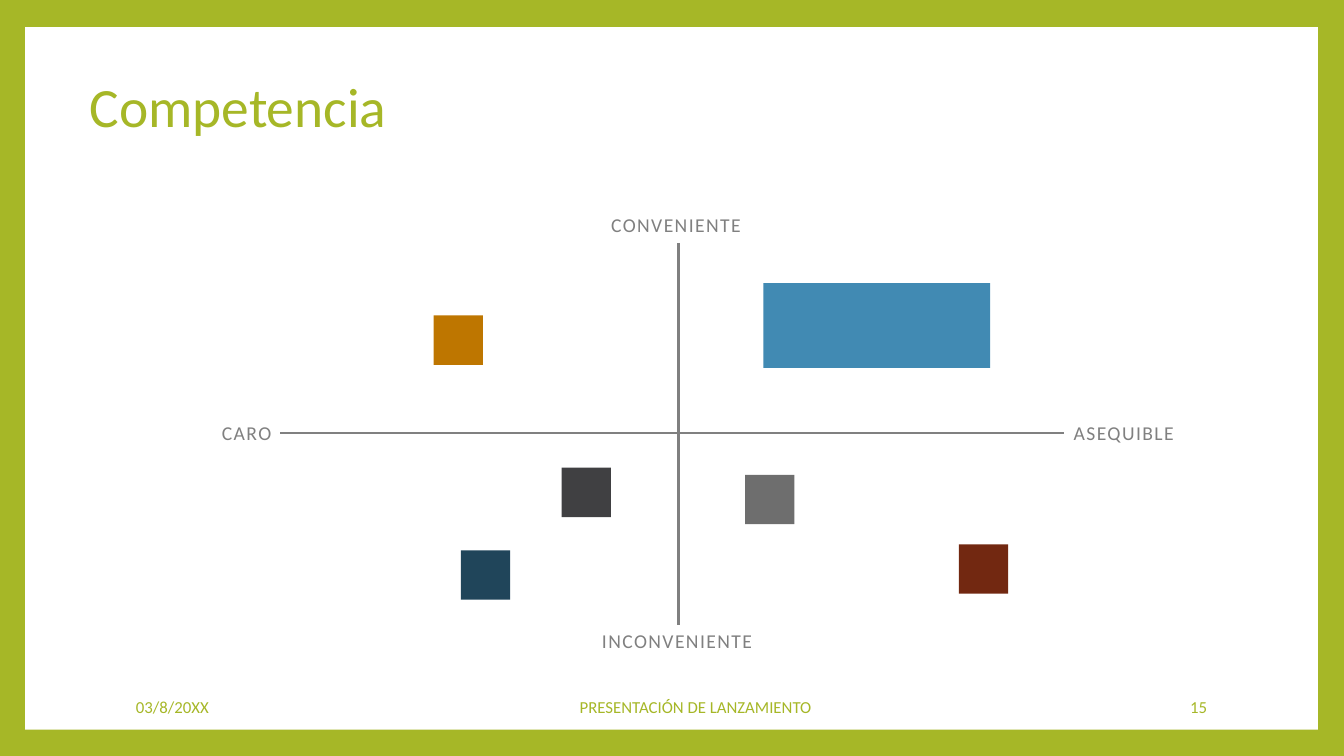
from dataclasses import dataclass

from lxml import etree
from pptx import Presentation
from pptx.dml.color import RGBColor
from pptx.enum.shapes import MSO_CONNECTOR, MSO_SHAPE
from pptx.enum.text import MSO_ANCHOR, PP_ALIGN
from pptx.oxml.ns import qn
from pptx.util import Inches, Pt

LEFT, CENTER, RIGHT = PP_ALIGN.LEFT, PP_ALIGN.CENTER, PP_ALIGN.RIGHT
TOP, MIDDLE, BOTTOM = MSO_ANCHOR.TOP, MSO_ANCHOR.MIDDLE, MSO_ANCHOR.BOTTOM
RECTANGLE = MSO_SHAPE.RECTANGLE
STRAIGHT = MSO_CONNECTOR.STRAIGHT


@dataclass(frozen=True)
class Theme:
    font: str = "Calibri"
    accent: str = "A6B727"
    panel: str = "FFFFFF"
    axis: str = "808080"
    company: str = "418AB3"
    title_size: float = 39.6
    label_size: float = 14
    footer_size: float = 12
    axis_width: float = 1.5
    label_tracking: int = 100  # hundredths of a point


THEME = Theme()
MARKER_SIDE = 0.49

# Competitor markers: left, top, colour
COMPETITORS = [
    (4.3, 3.13, "BE7600"),
    (5.57, 4.64, "404042"),
    (7.39, 4.71, "6E6E6E"),
    (4.57, 5.46, "20455A"),
    (9.51, 5.4, "722811"),
]

# Axis ends: text, box, alignment, anchor
AXIS_LABELS = [
    ("CONVENIENTE", (5.77, 1.93, 1.87, 0.47), CENTER, BOTTOM),
    ("INCONVENIENTE", (5.72, 6.22, 1.99, 0.47), CENTER, TOP),
    ("CARO", (0.92, 4.15, 1.87, 0.47), RIGHT, TOP),
    ("ASEQUIBLE", (10.55, 4.15, 1.87, 0.47), LEFT, TOP),
]

# Footer: text, left, width, alignment
FOOTER = [
    ("03/8/20XX", 1.25, 2.55, LEFT),
    ("PRESENTACIÓN DE LANZAMIENTO", 4.32, 5.16, CENTER),
    ("15", 10.2, 1.87, RIGHT),
]


def inches(values):
    return [Inches(value) for value in values]


def add_block(slide, box, color):
    block = slide.shapes.add_shape(RECTANGLE, *inches(box))
    block.shadow.inherit = False
    block.fill.solid()
    block.fill.fore_color.rgb = RGBColor.from_string(color)
    block.line.fill.background()


def add_axis(slide, start, end):
    axis = slide.shapes.add_connector(STRAIGHT, *inches(start + end))
    axis.line.color.rgb = RGBColor.from_string(THEME.axis)
    axis.line.width = Pt(THEME.axis_width)
    etree.SubElement(axis._element.spPr, qn("a:effectLst"))


def add_text(slide, text, box, size, color, align=LEFT, anchor=MIDDLE,
             line_spacing=1.0, tracking=0):
    frame = slide.shapes.add_textbox(*inches(box)).text_frame
    frame.word_wrap = True
    frame.vertical_anchor = anchor
    paragraph = frame.paragraphs[0]
    paragraph.alignment = align
    paragraph.line_spacing = line_spacing
    run = paragraph.add_run()
    run.text = text
    style = {"name": THEME.font, "size": Pt(size)}
    for attribute, value in style.items():
        setattr(run.font, attribute, value)
    run.font.color.rgb = RGBColor.from_string(color)
    if tracking:
        run._r.get_or_add_rPr().set("spc", str(tracking))


def main():
    deck = Presentation()
    deck.slide_width, deck.slide_height = Inches(13.33), Inches(7.5)
    slide = deck.slides.add_slide(deck.slide_layouts[6])

    # Coloured frame around a white panel
    slide.background.fill.solid()
    slide.background.fill.fore_color.rgb = RGBColor.from_string(THEME.accent)
    add_block(slide, (0.25, 0.27, 12.82, 6.97), THEME.panel)

    # Title
    add_text(slide, "Competencia", (0.79, 0.73, 11.62, 0.71),
             THEME.title_size, THEME.accent, line_spacing=0.9)

    # Axes and their labels
    add_axis(slide, (6.73, 2.41), (6.73, 6.2))
    add_axis(slide, (10.55, 4.3), (2.78, 4.3))
    for text, box, align, anchor in AXIS_LABELS:
        add_text(slide, text, box, THEME.label_size, THEME.axis, align, anchor,
                 line_spacing=0.9, tracking=THEME.label_tracking)

    # Company and competitors
    add_block(slide, (7.57, 2.81, 2.25, 0.84), THEME.company)
    for left, top, color in COMPETITORS:
        add_block(slide, (left, top, MARKER_SIDE, MARKER_SIDE), color)

    # Footer
    for text, left, width, align in FOOTER:
        add_text(slide, text, (left, 6.81, width, 0.4),
                 THEME.footer_size, THEME.accent, align)

    deck.save("out.pptx")


if __name__ == "__main__":
    main()
